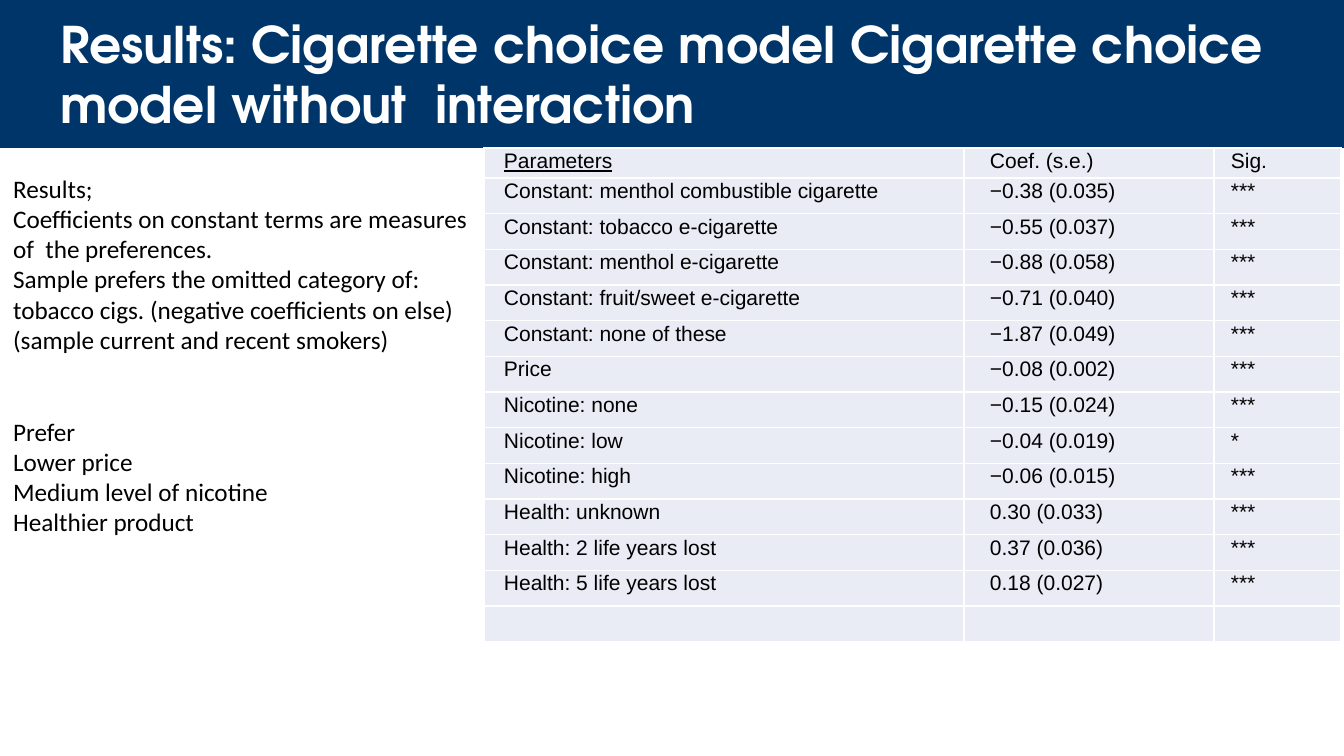
import dataclasses
import typing

import lxml.etree
import pptx
import pptx.dml.color
import pptx.enum.shapes
import pptx.enum.text
import pptx.oxml
import pptx.oxml.ns
import pptx.util

PX = 914400 / 100.8  # EMU per pixel
MINUS = "\u2212"


@dataclasses.dataclass(frozen=True)
class Theme:
    """Colours, fonts and type sizes of the slide."""
    navy: str = "00356A"
    white: str = "FFFFFF"
    black: str = "000000"
    cell: str = "E9EBF5"
    title_font: str = "TeX Gyre Adventor"
    body_font: str = "Calibri"
    table_font: str = "Arial"
    title_size: int = 36
    body_size: int = 18
    table_size: int = 15
    border: int = 1


class Box(typing.NamedTuple):
    """A rectangle in pixels."""
    left: int
    top: int
    width: int
    height: int


class Column(typing.NamedTuple):
    """A table column: heading, width and left inset in pixels."""
    heading: str
    width: int
    inset: int


class Result(typing.NamedTuple):
    """One estimated parameter."""
    name: str
    coef: str
    sig: str = "***"


class Note(typing.NamedTuple):
    """A line of commentary and the space before it in points."""
    text: str
    before: int = 0


THEME = Theme()
BAND = Box(0, 0, 1344, 148)
TITLE = Box(0, 0, 1344, 147)
NOTES = Box(3, 168, 477, 407)
TABLE = Box(484, 148, 857, 494)
HEADER_HEIGHT = 30

TITLE_TEXT = ("Results: Cigarette choice model Cigarette choice model "
              "without  interaction")
COMMENTS = [
    Note("Results;"),
    Note("Coefficients on constant terms are measures of  the preferences. "),
    Note("Sample prefers the omitted category of: tobacco cigs. "
         "(negative coefficients on else)"),
    Note("(sample current and recent smokers)"),
    Note("Prefer", 44),
    Note("Lower price"),
    Note("Medium level of nicotine"),
    Note("Healthier product"),
]
COLUMNS = [Column("Parameters", 480, 20), Column("Coef. (s.e.)", 250, 26),
           Column("Sig.", 127, 17)]
RESULTS = [
    Result("Constant: menthol combustible cigarette", MINUS + "0.38 (0.035)"),
    Result("Constant: tobacco e-cigarette", MINUS + "0.55 (0.037)"),
    Result("Constant: menthol e-cigarette", MINUS + "0.88 (0.058)"),
    Result("Constant: fruit/sweet e-cigarette", MINUS + "0.71 (0.040)"),
    Result("Constant: none of these", MINUS + "1.87 (0.049)"),
    Result("Price", MINUS + "0.08 (0.002)"),
    Result("Nicotine: none", MINUS + "0.15 (0.024)"),
    Result("Nicotine: low", MINUS + "0.04 (0.019)", "*"),
    Result("Nicotine: high", MINUS + "0.06 (0.015)"),
    Result("Health: unknown", "0.30 (0.033)"),
    Result("Health: 2 life years lost", "0.37 (0.036)"),
    Result("Health: 5 life years lost", "0.18 (0.027)"),
    Result("", "", ""),
]


def px(value: float) -> int:
    """Turn pixels into EMU."""
    return pptx.util.Emu(round(value * PX))


def rgb(value: str) -> pptx.dml.color.RGBColor:
    """Turn a hex string into a colour."""
    return pptx.dml.color.RGBColor.from_string(value)


def apply(target: typing.Any, values: dict[str, typing.Any]) -> None:
    """Set each named attribute on the target."""
    for name, value in values.items():
        setattr(target, name, value)


def place(sp: typing.Any, box: Box) -> None:
    """Move and size a shape."""
    apply(sp, {name: px(value) for name, value in box._asdict().items()})


def paint(sp: typing.Any, color: str) -> None:
    """Give a shape or cell a solid fill."""
    sp.fill.solid()
    sp.fill.fore_color.rgb = rgb(color)


def write(p: typing.Any, text: str, font: str, size: int, color: str,
          **extra: bool) -> None:
    """Add one formatted run to a paragraph."""
    r = p.add_run()
    r.text = text
    apply(r.font, {"name": font, "size": pptx.util.Pt(size), **extra})
    r.font.color.rgb = rgb(color)


def add_title(slide: typing.Any) -> None:
    """Draw the header band and fill the title placeholder."""
    band = slide.shapes.add_shape(
        pptx.enum.shapes.MSO_SHAPE.RECTANGLE, *map(px, BAND))
    paint(band, THEME.navy)
    band.line.fill.background()
    band.shadow.inherit = False
    slide.shapes.title._element.addprevious(band._element)
    sp = slide.shapes.title
    place(sp, TITLE)
    paint(sp, THEME.navy)
    apply(sp.text_frame, {
        "word_wrap": True, "margin_left": px(60),
        "auto_size": pptx.enum.text.MSO_AUTO_SIZE.NONE,
        "vertical_anchor": pptx.enum.text.MSO_ANCHOR.MIDDLE})
    p = sp.text_frame.paragraphs[0]
    p.alignment = pptx.enum.text.PP_ALIGN.LEFT
    write(p, TITLE_TEXT, THEME.title_font, THEME.title_size, THEME.white,
          bold=True)


def add_comments(slide: typing.Any) -> None:
    """Fill the body placeholder with unbulleted commentary."""
    sp = slide.placeholders[1]
    place(sp, NOTES)
    tf = sp.text_frame
    apply(tf, {"word_wrap": True,
               "auto_size": pptx.enum.text.MSO_AUTO_SIZE.NONE,
               "vertical_anchor": pptx.enum.text.MSO_ANCHOR.TOP})
    for i, note in enumerate(COMMENTS):
        p = tf.add_paragraph() if i else tf.paragraphs[0]
        p.space_before = pptx.util.Pt(note.before)
        pPr = p._p.get_or_add_pPr()
        pPr.set("marL", "0")
        pPr.set("indent", "0")
        lxml.etree.SubElement(pPr, pptx.oxml.ns.qn("a:buNone"))
        write(p, note.text, THEME.body_font, THEME.body_size, THEME.black)


def add_borders(cell: typing.Any) -> None:
    """Put a thin border on all four sides of a cell."""
    tcPr = cell._tc.get_or_add_tcPr()
    for i, side in enumerate(("lnL", "lnR", "lnT", "lnB")):
        tcPr.insert(i, pptx.oxml.parse_xml(
            f'<a:{side} {pptx.oxml.ns.nsdecls("a")} '
            f'w="{pptx.util.Pt(THEME.border)}"><a:solidFill>'
            f'<a:srgbClr val="{THEME.white}"/></a:solidFill></a:{side}>'))


def add_results(slide: typing.Any) -> None:
    """Draw the table of coefficients."""
    rows = [Result(*(column.heading for column in COLUMNS)), *RESULTS]
    table = slide.shapes.add_table(
        len(rows), len(COLUMNS), *map(px, TABLE)).table
    apply(table, {"first_row": False, "horz_banding": False})
    for j, column in enumerate(COLUMNS):
        table.columns[j].width = px(column.width)
    row_height = px((TABLE.height - HEADER_HEIGHT) / len(RESULTS))
    for i, row in enumerate(rows):
        table.rows[i].height = row_height if i else px(HEADER_HEIGHT)
        for j, (column, text) in enumerate(zip(COLUMNS, row)):
            cell = table.cell(i, j)
            apply(cell, {"margin_left": px(column.inset), "margin_right": 0,
                         "margin_top": 0, "margin_bottom": 0})
            paint(cell, THEME.cell)
            add_borders(cell)
            if text:
                p = cell.text_frame.paragraphs[0]
                apply(p, {"line_spacing": 1.07,
                          "space_before": pptx.util.Pt(2.6 if i else 5.5)})
                write(p, text, THEME.table_font, THEME.table_size,
                      THEME.black, underline=i == j == 0)


prs = pptx.Presentation()
apply(prs, {"slide_width": px(1344), "slide_height": px(756)})
slide = prs.slides.add_slide(prs.slide_layouts[1])
add_title(slide)
add_results(slide)
add_comments(slide)
prs.save("out.pptx")
